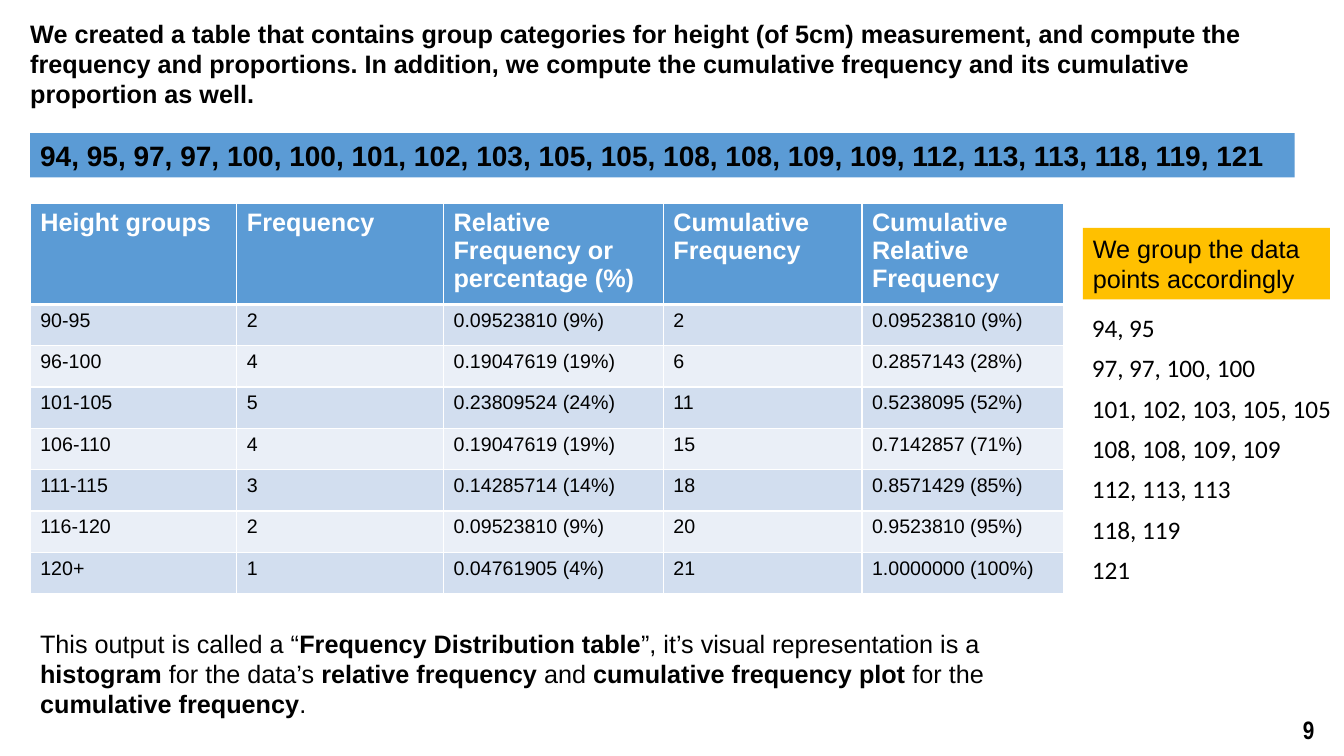
from lxml import etree
from pptx import Presentation
from pptx.dml.color import RGBColor
from pptx.enum import shapes, text
from pptx.oxml import ns
from pptx.util import Inches, Pt

BLUE, GOLD, WHITE, BLACK = "5B9BD5", "FFC000", "FFFFFF", "000000"
BANDS = ("D2DEEF", "EAEFF7")

TITLE = (
    "We created a table that contains group categories for height (of 5cm) "
    "measurement, and compute the frequency and proportions. In addition, we "
    "compute the cumulative frequency and its cumulative proportion as well."
)
DATA = (
    "94, 95, 97, 97, 100, 100, 101, 102, 103, 105, 105, 108, 108, 109, 109, "
    "112, 113, 113, 118, 119, 121"
)
HEADS = (
    "Height groups",
    "Frequency",
    "Relative Frequency or percentage (%)",
    "Cumulative Frequency",
    "Cumulative Relative Frequency",
)
ROWS = (
    ("90-95", "2", "0.09523810 (9%)", "2", "0.09523810 (9%)"),
    ("96-100", "4", "0.19047619 (19%)", "6", "0.2857143 (28%)"),
    ("101-105", "5", "0.23809524 (24%)", "11", "0.5238095 (52%)"),
    ("106-110", "4", "0.19047619 (19%)", "15", "0.7142857 (71%)"),
    ("111-115", "3", "0.14285714 (14%)", "18", "0.8571429 (85%)"),
    ("116-120", "2", "0.09523810 (9%)", "20", "0.9523810 (95%)"),
    ("120+", "1", "0.04761905 (4%)", "21", "1.0000000 (100%)"),
)
WIDTHS = (2.05, 2.05, 2.18, 1.97, 2)
GROUPS = (
    "94, 95",
    "97, 97, 100, 100",
    "101, 102, 103, 105, 105",
    "108, 108, 109, 109",
    "112, 113, 113",
    "118, 119",
    "121",
)
# Closing text: (words, bold)
CLOSING = (
    ("This output is called a “", False),
    ("Frequency Distribution table", True),
    ("”, it’s visual representation is a ", False),
    ("histogram", True),
    (" for the data’s ", False),
    ("relative frequency ", True),
    ("and ", False),
    ("cumulative frequency plot", True),
    (" for the ", False),
    ("cumulative frequency", True),
    (".", False),
)


def color(code):
    return RGBColor.from_string(code)


def write(frame, runs, size=18, font="Arial", ink=BLACK, align=text.PP_ALIGN.LEFT):
    para = frame.paragraphs[0]
    para.alignment = align
    for words, bold in runs:
        run = para.add_run()
        run.text = words
        run.font.name = font
        run.font.size = Pt(size)
        run.font.bold = bold
        run.font.color.rgb = color(ink)


def add_text(slide, box, runs, wrap=True, anchor=text.MSO_ANCHOR.TOP, **style):
    frame = slide.shapes.add_textbox(*map(Inches, box)).text_frame
    frame.word_wrap = wrap
    frame.vertical_anchor = anchor
    write(frame, runs, **style)


def add_box(slide, box, fill, runs, **style):
    shape = slide.shapes.add_shape(shapes.MSO_SHAPE.RECTANGLE, *map(Inches, box))
    shape.shadow.inherit = False
    shape.fill.solid()
    shape.fill.fore_color.rgb = color(fill)
    shape.line.fill.background()
    shape.text_frame.word_wrap = True
    write(shape.text_frame, runs, **style)


def set_title(slide, box, words):
    title = slide.shapes.title
    title.left, title.top, title.width, title.height = map(Inches, box)
    frame = title.text_frame
    frame.word_wrap = True
    frame.auto_size = text.MSO_AUTO_SIZE.NONE
    frame.vertical_anchor = text.MSO_ANCHOR.TOP
    write(frame, [(words, True)])


def set_edge(cell, side, width):
    props = cell._tc.get_or_add_tcPr()
    line = etree.SubElement(props, ns.qn("a:ln" + side), w=str(Pt(width)))
    fill = etree.SubElement(line, ns.qn("a:solidFill"))
    etree.SubElement(fill, ns.qn("a:srgbClr"), val=WHITE)


def add_table(slide, box):
    rows = (HEADS,) + ROWS
    grid = slide.shapes.add_table(len(rows), len(HEADS), *map(Inches, box)).table
    for col, width in zip(grid.columns, WIDTHS):
        col.width = Inches(width)
    for r, row in enumerate(rows):
        head = r == 0
        grid.rows[r].height = Inches(1 if head else 0.41)
        for c, words in enumerate(row):
            cell = grid.cell(r, c)
            for side in "LRTB":
                # A thick rule parts the header from the body
                thick = (r, side) in ((0, "B"), (1, "T"))
                set_edge(cell, side, 3 if thick else 1)
            cell.fill.solid()
            cell.fill.fore_color.rgb = color(BLUE if head else BANDS[(r - 1) % 2])
            write(cell.text_frame, [(words, head)], size=18 if head else 14,
                  ink=WHITE if head else BLACK)


def main():
    deck = Presentation()
    deck.slide_width, deck.slide_height = Inches(13.33), Inches(7.5)
    slide = deck.slides.add_slide(deck.slide_layouts[5])

    # Title and raw data
    set_title(slide, (0.2, 0.13, 12.97, 1.01), TITLE)
    add_box(slide, (0.3, 1.32, 12.54, 0.44), BLUE, [(DATA, True)], size=20)

    # Frequency table
    add_table(slide, (0.3, 2.02, 10.25, 3.84))

    # Data points beside each table row
    for i, points in enumerate(GROUPS):
        add_text(slide, (10.73, 3.05 + 0.4 * i, 2.61, 0.4), [(points, False)],
                 wrap=False, font="Calibri")
    add_box(slide, (10.74, 2.26, 2.45, 0.71), GOLD,
            [("We group the data points accordingly", False)])

    # Closing text and page number
    add_text(slide, (0.3, 6.18, 10.26, 1.01), CLOSING)
    add_text(slide, (12.74, 7.01, 0.48, 0.46), [("9", True)], font="Arial Narrow",
             anchor=text.MSO_ANCHOR.MIDDLE, align=text.PP_ALIGN.CENTER)

    deck.save("out.pptx")


if __name__ == "__main__":
    main()
